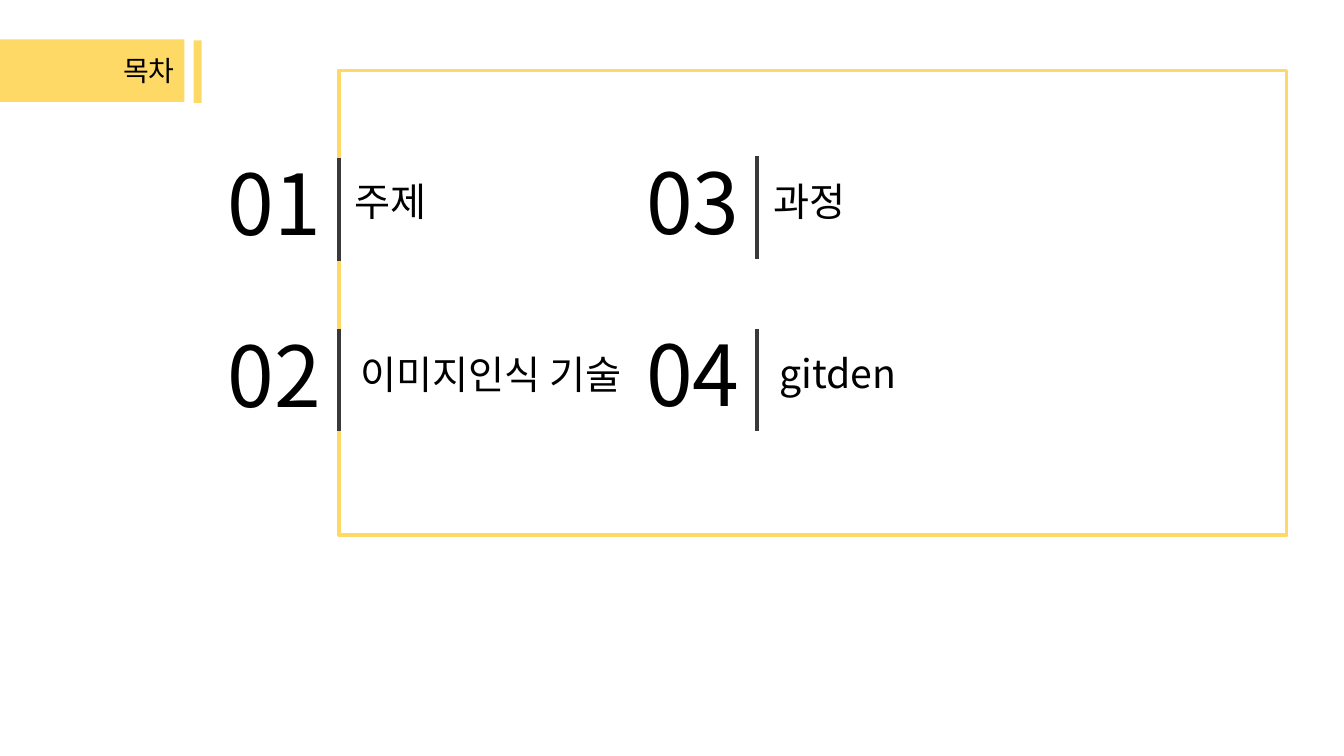
import pptx
import pptx.util
import pptx.dml.color
import pptx.enum.shapes
import pptx.enum.text
import pptx.oxml.ns
import lxml.etree

Inches = pptx.util.Inches
FONT = "Noto Sans CJK KR"
GOLD, DARK, BLACK = "FFD966", "3B3838", "000000"
RECT = pptx.enum.shapes.MSO_SHAPE.RECTANGLE
LINE = pptx.enum.shapes.MSO_CONNECTOR.STRAIGHT


def paint(part, color):
    part.fore_color.rgb = pptx.dml.color.RGBColor.from_string(color)


def write(box, text, size):
    frame = box.text_frame
    look = {
        "word_wrap": False,
        "auto_size": pptx.enum.text.MSO_AUTO_SIZE.SHAPE_TO_FIT_TEXT,
        "vertical_anchor": pptx.enum.text.MSO_ANCHOR.TOP,
    }
    for key, value in look.items():
        setattr(frame, key, value)
    para = frame.paragraphs[0]
    para.alignment = pptx.enum.text.PP_ALIGN.LEFT
    run = para.add_run()
    run.text = text
    for key, value in {"name": FONT, "size": pptx.util.Pt(size)}.items():
        setattr(run.font, key, value)
    run.font.fill.solid()
    paint(run.font.fill, BLACK)
    # Hangul takes the East Asian font
    east = lxml.etree.SubElement(run.font._element, pptx.oxml.ns.qn("a:ea"))
    east.set("typeface", FONT)


deck = pptx.Presentation()
deck.slide_width, deck.slide_height = Inches(13.33), Inches(7.5)
slide = deck.slides.add_slide(deck.slide_layouts[5])
shapes = slide.shapes

# Gold frame
frame = shapes.add_shape(RECT, Inches(3.36), Inches(0.7), Inches(9.4), Inches(4.61))
frame.shadow.inherit = False
frame.fill.background()
frame.line.fill.solid()
paint(frame.line.fill, GOLD)
frame.line.width = pptx.util.Pt(2.75)

# Title tab and its thin strip
for left, top, width in [(0, 0.39, 1.83), (1.92, 0.4, 0.08)]:
    tab = shapes.add_shape(RECT, Inches(left), Inches(top), Inches(width), Inches(0.62))
    tab.shadow.inherit = False
    tab.fill.solid()
    paint(tab.fill, GOLD)
    tab.line.fill.background()

# Title, brought in front of the tab
title = shapes.title
spot = {"left": 1.12, "top": 0.48, "width": 0.78, "height": 0.44}
for key, value in spot.items():
    setattr(title, key, Inches(value))
write(title, "목차", 20)
shapes._spTree.append(title._element)

# Agenda: bar x, bar top, number width, then label inset, top and width
items = [
    ("01", "주제", 3.36, 1.57, 1.45, 1.15, 0.06, 1.71, 0.99),
    ("02", "이미지인식 기술", 3.36, 3.26, 3.16, 1.15, 0.12, 3.43, 3.07),
    ("03", "과정", 7.51, 1.55, 1.44, 1.88, 0.06, 1.71, 0.99),
    ("04", "gitden", 7.51, 3.26, 3.15, 1.88, 0.12, 3.42, 2.56),
]
for num, label, x, top, num_top, num_width, inset, y, width in items:
    bar = shapes.add_connector(LINE, Inches(x), Inches(top), Inches(x), Inches(top + 1.02))
    bar.line.fill.solid()
    paint(bar.line.fill, DARK)
    bar.line.width = pptx.util.Pt(2.75)
    lxml.etree.SubElement(bar._element.spPr, pptx.oxml.ns.qn("a:effectLst"))

    box = shapes.add_textbox(Inches(x - 1.2), Inches(num_top), Inches(num_width), Inches(1.11))
    write(box, num, 60)
    box = shapes.add_textbox(Inches(x + inset), Inches(y), Inches(width), Inches(0.57))
    write(box, label, 28)

deck.save("out.pptx")
